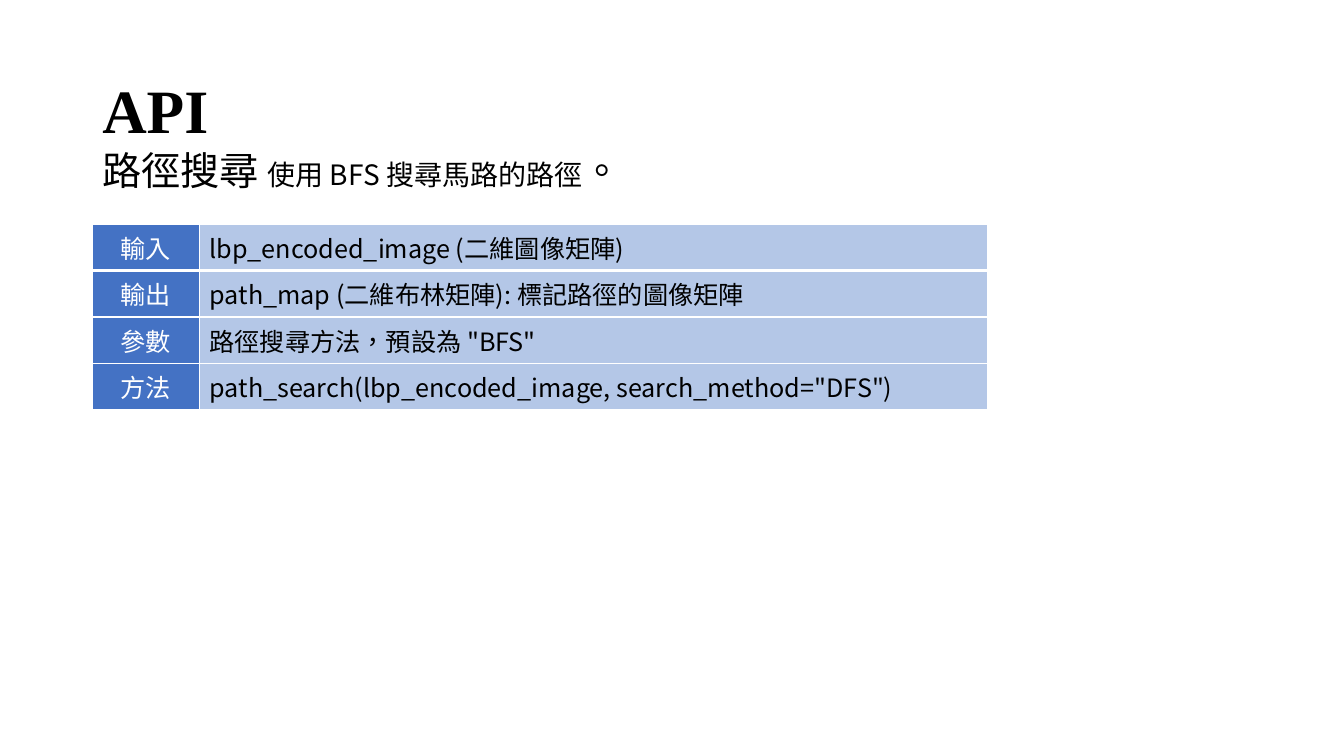
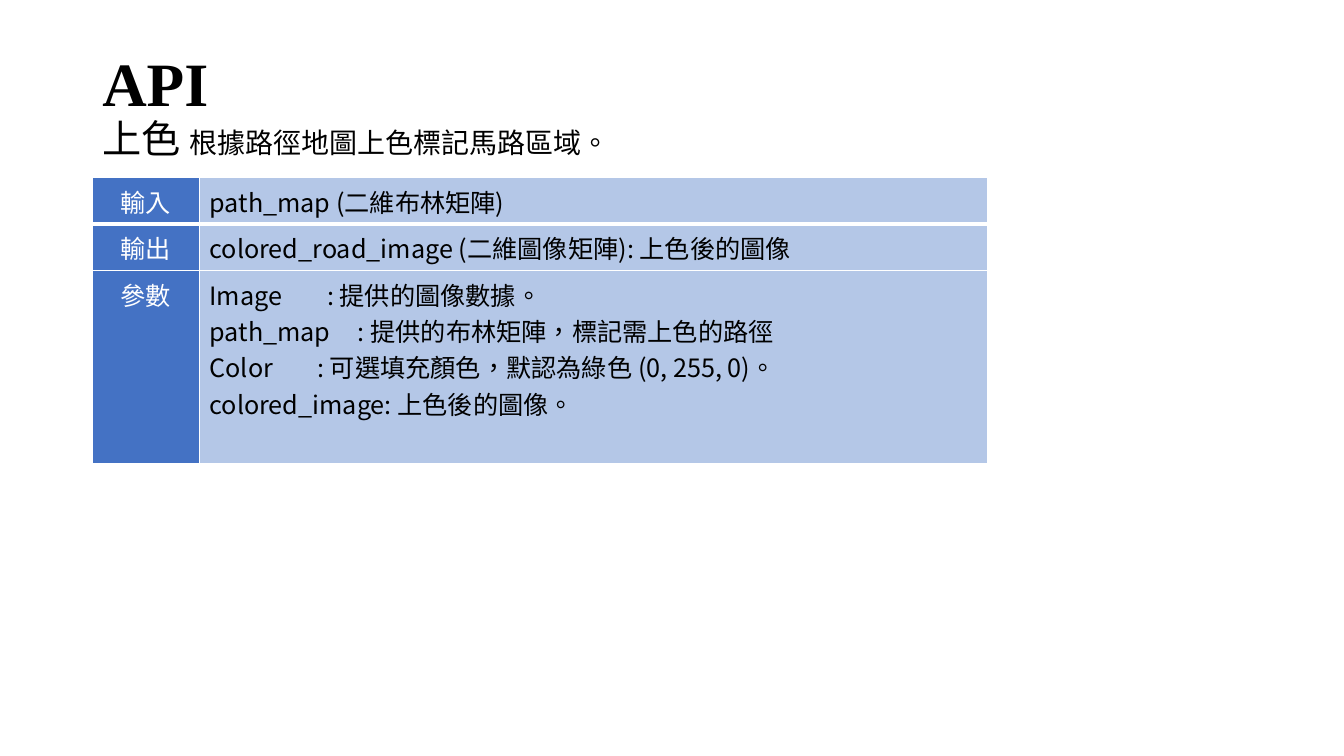
from pptx import Presentation
from pptx.dml.color import RGBColor
from pptx.enum import text
from pptx.oxml import ns, xmlchemy
from pptx.util import Pt

BLACK = RGBColor(0x00, 0x00, 0x00)
WHITE = RGBColor(0xFF, 0xFF, 0xFF)
BLUE = RGBColor(0x44, 0x72, 0xC4)
PALE_BLUE = RGBColor(0xB4, 0xC7, 0xE7)

TITLE_FONT = "Times New Roman"
BODY_FONT = "Noto Sans CJK SC"

LEFT = Pt(66)
TEXT_WIDTH = Pt(828)
TITLE_HEIGHT = Pt(104.4)
BODY_HEIGHT = Pt(343)
COLUMN_WIDTHS = (Pt(76.5), Pt(563))
ROW_HEIGHT = 33.2


def add_element(parent, tag, **attributes):
    element = xmlchemy.OxmlElement(tag)
    for name, value in attributes.items():
        element.set(name, str(value))
    parent.append(element)
    return element


def style_paragraph(paragraph, name, size, color, bold=False):
    font = paragraph.font
    font.name, font.size, font.bold = name, Pt(size), bold
    font.color.rgb = color
    properties = paragraph._p.pPr.find(ns.qn("a:defRPr"))
    properties.set("lang", "zh-TW")
    add_element(properties, "a:ea", typeface=name)


def add_text_box(slide, top, height, anchor):
    frame = slide.shapes.add_textbox(LEFT, Pt(top), TEXT_WIDTH, height).text_frame
    frame.word_wrap = True
    frame.vertical_anchor = anchor
    paragraph = frame.paragraphs[0]
    paragraph.line_spacing = 0.9
    return paragraph


def add_title(slide, top):
    paragraph = add_text_box(slide, top, TITLE_HEIGHT, text.MSO_ANCHOR.MIDDLE)
    paragraph.text = "API"
    style_paragraph(paragraph, TITLE_FONT, 44, BLACK, bold=True)


def add_summary(slide, top, parts):
    paragraph = add_text_box(slide, top, BODY_HEIGHT, text.MSO_ANCHOR.TOP)
    paragraph.space_before = Pt(10)
    style_paragraph(paragraph, BODY_FONT, 20, BLACK)
    for words, size in parts:
        run = paragraph.add_run()
        run.text = words
        run.font.size = Pt(size)


def set_borders(cell, widths):
    properties = cell._tc.get_or_add_tcPr()
    for side, width in widths.items():
        line = add_element(properties, f"a:ln{side}", w=Pt(width))
        fill = add_element(line, "a:solidFill")
        add_element(fill, "a:srgbClr", val=WHITE)


def fill_cell(cell, lines, color, background, alignment, widths):
    set_borders(cell, widths)
    cell.fill.solid()
    cell.fill.fore_color.rgb = background
    frame = cell.text_frame
    for index, (words, tab) in enumerate(lines):
        paragraph = frame.add_paragraph() if index else frame.paragraphs[0]
        paragraph.text = words
        paragraph.alignment = alignment
        if tab:
            tabs = add_element(paragraph._p.get_or_add_pPr(), "a:tabLst")
            add_element(tabs, "a:tab", pos=Pt(tab), algn="l")
        style_paragraph(paragraph, BODY_FONT, 18, color)


def add_api_table(slide, top, rows):
    heights = [height for _, _, height in rows]
    table = slide.shapes.add_table(
        len(rows), 2, LEFT, Pt(top), sum(COLUMN_WIDTHS), Pt(sum(heights))
    ).table
    table.first_row = table.horz_banding = False
    for column, width in zip(table.columns, COLUMN_WIDTHS):
        column.width = width
    for index, (label, lines, height) in enumerate(rows):
        table.rows[index].height = Pt(height)
        widths = {
            "L": 1,
            "R": 1,
            "T": 3 if index == 1 else 1,
            "B": 3 if index == 0 else 1,
        }
        fill_cell(table.cell(index, 0), [(label, None)], WHITE, BLUE,
                  text.PP_ALIGN.CENTER, widths)
        fill_cell(table.cell(index, 1), lines, BLACK, PALE_BLUE,
                  text.PP_ALIGN.LEFT, widths)


def row(label, words):
    return label, [(words, None)], ROW_HEIGHT


def add_api_slide(presentation, title_top, summary_top, summary, table_top, rows):
    slide = presentation.slides.add_slide(presentation.slide_layouts[6])
    add_title(slide, title_top)
    add_summary(slide, summary_top, summary)
    add_api_table(slide, table_top, rows)


def main():
    presentation = Presentation()
    presentation.slide_width, presentation.slide_height = Pt(960), Pt(540)

    add_api_slide(
        presentation, 28.8, 105,
        [("路徑搜尋 ", 28), ("使用 BFS 搜尋馬路的路徑", 20), ("。", 28)],
        160,
        [
            row("輸入", "lbp_encoded_image (二維圖像矩陣)"),
            row("輸出", "path_map (二維布林矩陣): 標記路徑的圖像矩陣"),
            row("參數", "路徑搜尋方法，預設為 \"BFS\""),
            row("方法", "path_search(lbp_encoded_image, search_method=\"DFS\")"),
        ],
    )

    parameters = [
        ("Image\t: 提供的圖像數據。", 84),
        ("path_map\t: 提供的布林矩陣，標記需上色的路徑", 106),
        ("Color\t: 可選填充顏色，默認為綠色 (0, 255, 0)。", 77),
        ("colored_image: 上色後的圖像。", None),
    ]
    add_api_slide(
        presentation, 9.4, 82,
        [("上色 ", 28), ("根據路徑地圖上色標記馬路區域。", 20)],
        127,
        [
            row("輸入", "path_map (二維布林矩陣)"),
            row("輸出", "colored_road_image (二維圖像矩陣): 上色後的圖像"),
            ("參數", parameters, 138),
        ],
    )

    presentation.save("out.pptx")


if __name__ == "__main__":
    main()
